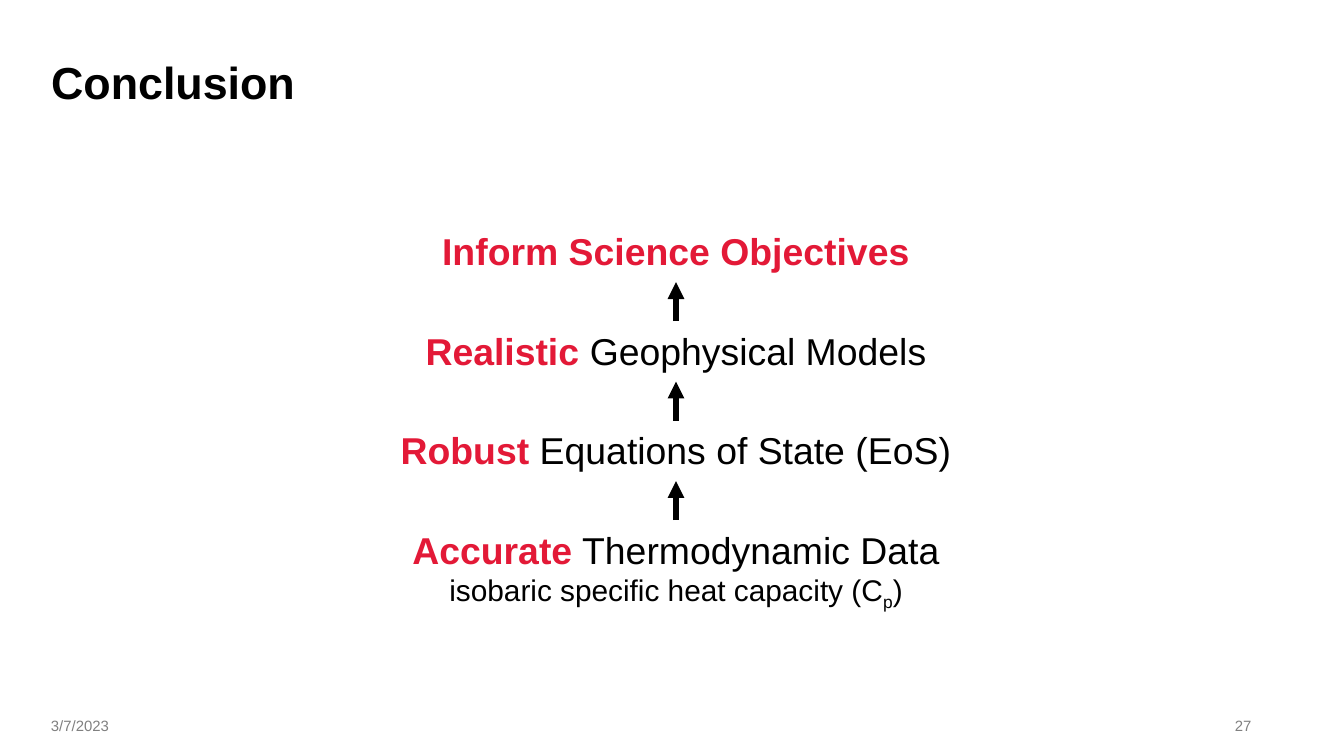
from lxml.etree import SubElement
from pptx import Presentation
from pptx.dml.color import RGBColor
from pptx.enum.shapes import MSO_CONNECTOR
from pptx.enum.text import MSO_ANCHOR, MSO_AUTO_SIZE, PP_ALIGN
from pptx.oxml.ns import qn
from pptx.util import Inches, Pt

WIDTH = 10
HEIGHT = WIDTH * 9 / 16
BLACK, RED, GREY = "000000", "E31937", "808080"
ROW_PITCH, ROW_HEIGHT, ARROW_LENGTH = 0.74, 0.44, 0.29


def color(value):
    """Turn a hex string into a colour."""
    return RGBColor.from_string(value)


def add_run(p, text, size, fill=BLACK, bold=False, baseline=0):
    """Append one formatted run to a paragraph."""
    r = p.add_run()
    r.text = text
    r.font.name = "Arial"
    r.font.size = Pt(size)
    r.font.bold = bold
    r.font.color.rgb = color(fill)
    if baseline:
        r._r.get_or_add_rPr().set("baseline", str(baseline * 1000))


def add_box(s, left, top, width, height):
    """Add a wrapping text box and return its text frame."""
    tf = s.shapes.add_textbox(*map(Inches, (left, top, width, height))).text_frame
    tf.word_wrap = True
    return tf


def add_title(s, text, left, top, width, height):
    """Place and format the title placeholder."""
    sp = s.shapes.title
    sp.left, sp.top, sp.width, sp.height = map(Inches, (left, top, width, height))
    tf = sp.text_frame
    tf.auto_size = MSO_AUTO_SIZE.NONE
    tf.vertical_anchor = MSO_ANCHOR.TOP
    p = tf.paragraphs[0]
    p.alignment = PP_ALIGN.LEFT
    add_run(p, text, 24, bold=True)


def add_footer(s, left, top, width, height):
    """Place the date and the page number at the two ends of a strip."""
    date_width, number_width = 1.24, 0.98
    parts = (
        ("3/7/2023", left, date_width, PP_ALIGN.LEFT),
        ("27", left + width - number_width, number_width, PP_ALIGN.RIGHT),
    )
    for text, x, part_width, alignment in parts:
        tf = add_box(s, x, top, part_width, height)
        tf.vertical_anchor = MSO_ANCHOR.MIDDLE
        p = tf.paragraphs[0]
        p.alignment = alignment
        add_run(p, text, 8, GREY)


def add_up_arrow(s, x, bottom):
    """Draw an upward arrow that starts at the given point."""
    ends = (x, bottom, x, bottom - ARROW_LENGTH)
    arrow = s.shapes.add_connector(MSO_CONNECTOR.STRAIGHT, *map(Inches, ends))
    arrow.line.color.rgb = color(BLACK)
    arrow.line.width = Pt(3)
    SubElement(arrow.line._get_or_add_ln(), qn("a:tailEnd"), type="triangle")
    SubElement(arrow._element.spPr, qn("a:effectLst"))


def add_ladder(s, steps, left, top, width):
    """Stack the steps from goal to data, with an arrow up from each to the next."""
    center = left + width / 2
    for i, (step_width, height, lines) in enumerate(steps):
        y = top + i * ROW_PITCH
        tf = add_box(s, center - step_width / 2, y, step_width, height)
        tf.auto_size = MSO_AUTO_SIZE.SHAPE_TO_FIT_TEXT
        for j, runs in enumerate(lines):
            p = tf.add_paragraph() if j else tf.paragraphs[0]
            p.alignment = PP_ALIGN.CENTER
            for run in runs:
                add_run(p, *run)
        if i:
            add_up_arrow(s, center, y)


def main():
    """Build and save the conclusion slide."""
    prs = Presentation()
    prs.slide_width, prs.slide_height = Inches(WIDTH), Inches(HEIGHT)
    s = prs.slides.add_slide(prs.slide_layouts[5])
    add_title(s, "Conclusion", 0.28, 0.36, 9.31, 0.47)
    heat_capacity = [
        ("isobaric specific heat capacity (C", 16),
        ("p", 16, BLACK, False, -25),
        (")", 16),
    ]
    steps = [
        (6.09, ROW_HEIGHT, [[("Inform Science Objectives", 20, RED, True)]]),
        (6.09, ROW_HEIGHT, [[("Realistic ", 20, RED, True), ("Geophysical Models", 20)]]),
        (6.62, ROW_HEIGHT, [[("Robust", 20, RED, True), (" Equations of State (EoS)", 20)]]),
        (6.09, 0.71, [[("Accurate", 20, RED, True), (" Thermodynamic Data", 20)], heat_capacity]),
    ]
    add_ladder(s, steps, 1.72, 1.65, 6.62)
    add_footer(s, 0.28, 5.25, 9.13, 0.3)
    prs.save("out.pptx")


if __name__ == "__main__":
    main()
